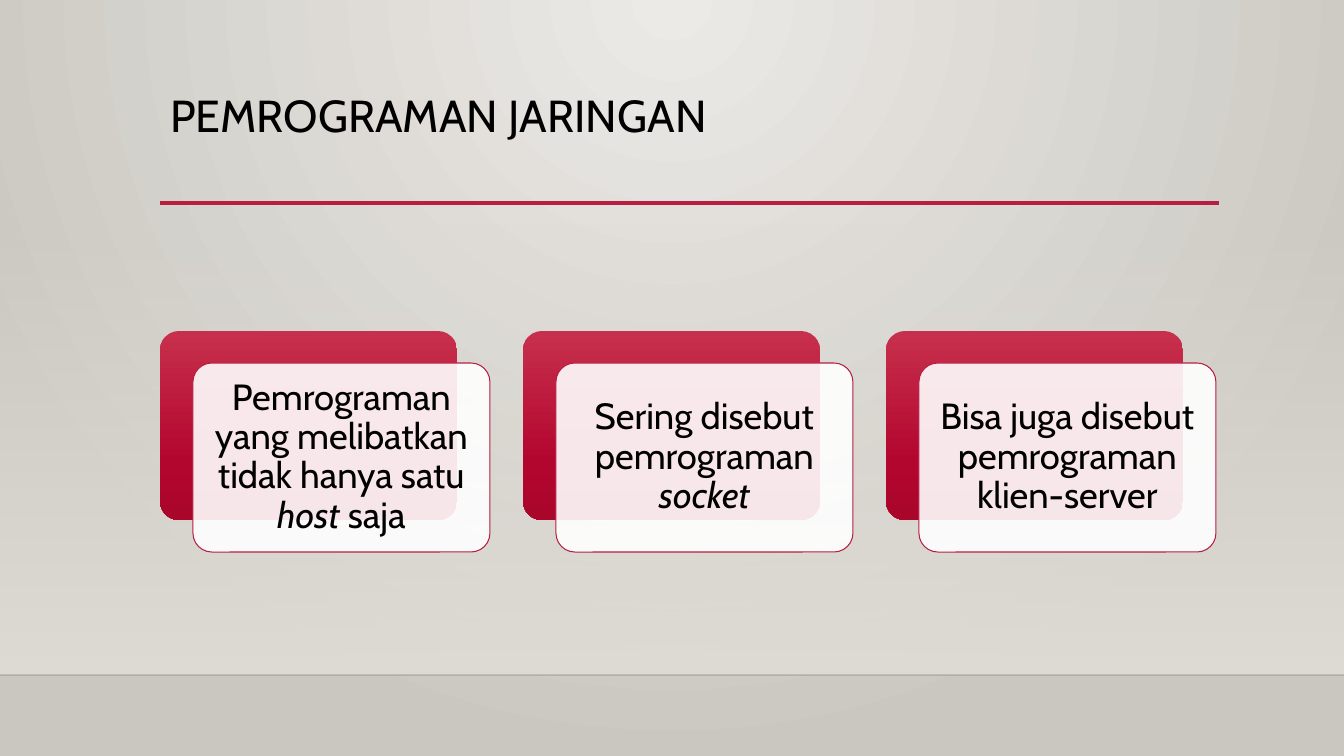
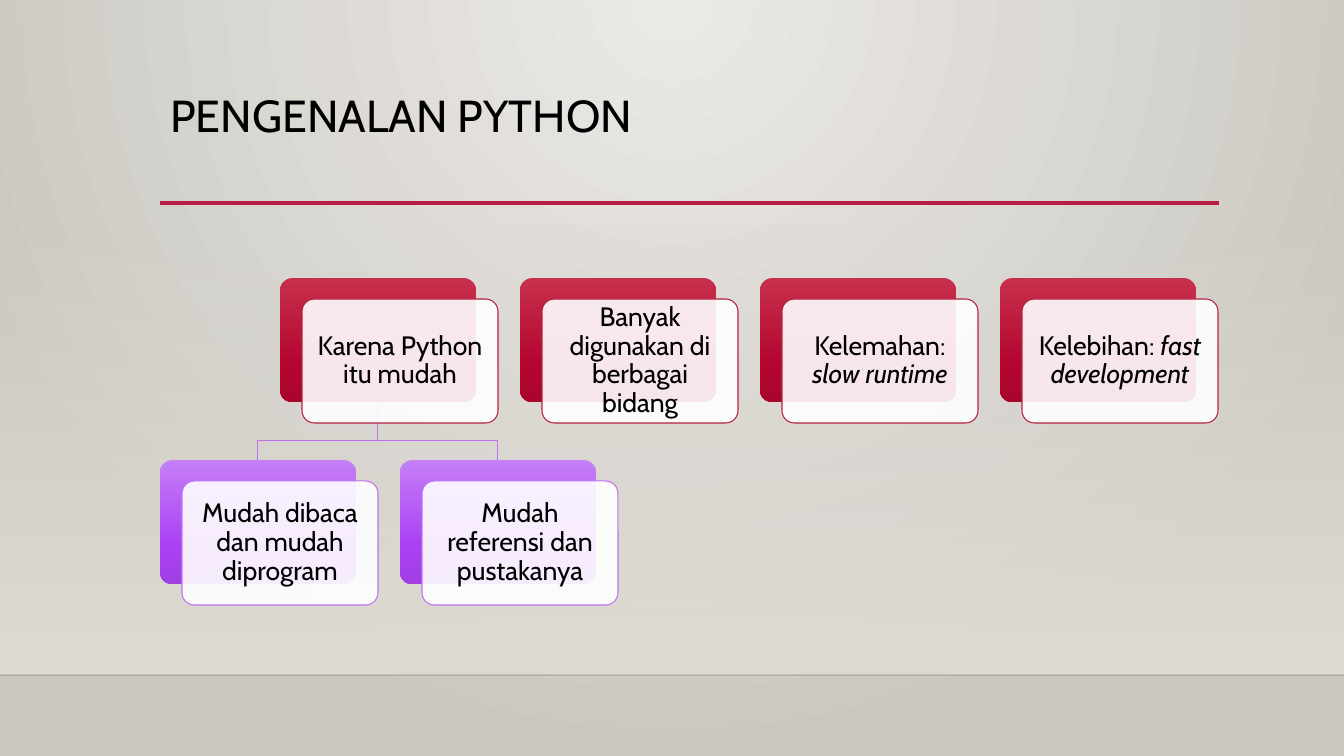
from dataclasses import dataclass

from lxml import etree
from pptx import Presentation
from pptx import util as u
from pptx.dml.color import RGBColor
from pptx.enum import shapes, text
from pptx.oxml.ns import qn

WIDE, HIGH = 1344, 756
SCALE = 12192000 / WIDE


@dataclass(frozen=True)
class Theme:
    font: str = "Cabin"
    ink: str = "000000"
    paper: str = "FFFFFF"
    red: str = "B71E42"
    violet: str = "BC72F0"
    edge: str = "000001"
    reds: tuple = ((0, "C7304C"), (69, "B3062F"), (100, "AA062C"))
    violets: tuple = ((0, "C57FF7"), (69, "AA41F3"), (100, "A13FE5"))
    back: tuple = ((0, "ECEAE7"), (100, "CAC7C1"))
    band: tuple = ((0, "DFDBD5", 0), (100, "DFDBD5", 100))
    title: int = 32
    large: int = 26
    small: int = 19


T = Theme()
LEFT, RIGHT = 160, 1219
FLOOR = 675


def px(num):
    return u.Emu(round(num * SCALE))


def tint(node, alpha):
    """Set the opacity, in percent, of a colour element."""
    etree.SubElement(node, qn("a:alpha"), val=str(alpha * 1000))


def blend(fill, node, stops, round_top=False):
    """Fill with a gradient: downward, or circular from the top centre."""
    fill.gradient()
    grad = next(node.iter(qn("a:gradFill")))
    grad.clear()
    rows = etree.SubElement(grad, qn("a:gsLst"))
    for pos, tone, *alpha in stops:
        stop = etree.SubElement(rows, qn("a:gs"), pos=str(pos * 1000))
        color = etree.SubElement(stop, qn("a:srgbClr"), val=tone)
        if alpha:
            tint(color, alpha[0])
    if round_top:
        way = etree.SubElement(grad, qn("a:path"), path="circle")
        etree.SubElement(way, qn("a:fillToRect"),
                         l="43000", t="0", r="43000", b="100000")
    else:
        etree.SubElement(grad, qn("a:lin"), ang="5400000", scaled="0")


def write(frame, words, size, align=text.PP_ALIGN.LEFT,
          anchor=text.MSO_ANCHOR.TOP, inset=None):
    """Write one paragraph; words between asterisks are italic."""
    frame.word_wrap = True
    frame.auto_size = text.MSO_AUTO_SIZE.NONE
    frame.vertical_anchor = anchor
    if inset is not None:
        frame.margin_left = frame.margin_right = px(inset)
        frame.margin_top = frame.margin_bottom = px(inset)
    para = frame.paragraphs[0]
    para.alignment = align
    para.line_spacing = 0.9
    for num, part in enumerate(words.split("*")):
        if part:
            run = para.add_run()
            run.text = part
            run.font.name = T.font
            run.font.size = u.Pt(size)
            run.font.italic = num % 2 == 1
            run.font.color.rgb = RGBColor.from_string(T.ink)


def stroke(shape, tone, width):
    shape.line.color.rgb = RGBColor.from_string(tone)
    shape.line.width = u.Pt(width)


def block(slide, kind, x, y, w, h):
    shape = slide.shapes.add_shape(kind, px(x), px(y), px(w), px(h))
    shape.shadow.inherit = False
    shape.line.fill.background()
    return shape


def rule(slide, x, y, end, tone, width):
    line = slide.shapes.add_connector(
        shapes.MSO_CONNECTOR.STRAIGHT, px(x), px(y), px(end), px(y))
    stroke(line, tone, width)
    etree.SubElement(line.element.spPr, qn("a:effectLst"))
    return line


def dress(layout, slide):
    """Give the layout its backdrop, lines and title place.

    Parts are drawn on the slide, then moved to the layout.
    """
    blend(layout.background.fill, layout.element, T.back, round_top=True)
    band = block(slide, shapes.MSO_SHAPE.RECTANGLE, 0, 223, WIDE, FLOOR - 223)
    blend(band.fill, band.element, T.band)
    base = rule(slide, 0, FLOOR, WIDE, T.edge, 1)
    tint(next(base.element.iter(qn("a:srgbClr"))), 20)
    bar = rule(slide, LEFT, 203, RIGHT, T.red, 2.5)
    for num, part in enumerate((band, base, bar)):
        next(part.element.iter(qn("p:cNvPr"))).set("id", str(100 + num))
        layout.shapes.element.insert(2 + num, part.element)
    head = layout.placeholders[0]
    head.left, head.top = px(LEFT), px(89)
    head.width, head.height = px(RIGHT - LEFT), px(116)


def sizes(count):
    """Return card width, height, shift right, shift down and pitch."""
    wide = int((RIGHT - LEFT) * 9 / (11 * count - 1))
    step = round(wide / 9)
    return wide, round(wide * 0.635), step, round(step * 0.96), wide + 2 * step


def card(slide, x, y, size, words, points, stops=T.reds, tone=T.red):
    wide, high, step, drop, _ = size
    form = shapes.MSO_SHAPE.ROUNDED_RECTANGLE
    back = block(slide, form, x, y, wide, high)
    blend(back.fill, back.element, stops)
    front = block(slide, form, x + step, y + drop, wide, high)
    front.fill.solid()
    front.fill.fore_color.rgb = RGBColor.from_string(T.paper)
    tint(next(front.element.spPr.iter(qn("a:srgbClr"))), 90)
    stroke(front, tone, 0.75)
    for shape in (back, front):
        shape.adjustments[0] = 0.1
    write(front.text_frame, words, points, text.PP_ALIGN.CENTER,
          text.MSO_ANCHOR.MIDDLE, inset=step // 3)


def cards(slide, x, y, size, items, points, **look):
    for num, words in enumerate(items):
        card(slide, x + num * size[-1], y, size, words, points, **look)


def link(slide, x, y, end, low):
    """Draw a bent line down from a parent to a child."""
    bend = low - 19
    pen = slide.shapes.build_freeform(x, y, SCALE)
    pen.add_line_segments([(x, bend), (end, bend), (end, low)], close=False)
    path = pen.convert_to_shape()
    path.shadow.inherit = False
    path.fill.background()
    stroke(path, T.violet, 0.75)


def network(slide):
    items = ("Pemrograman yang melibatkan tidak hanya satu *host* saja",
             "Sering disebut pemrograman *socket*",
             "Bisa juga disebut pemrograman klien-server")
    cards(slide, LEFT, 331, sizes(len(items)), items, T.large)


def python(slide):
    tops = ("Karena Python itu mudah",
            "Banyak digunakan di berbagai bidang",
            "Kelemahan: *slow runtime*",
            "Kelebihan: *fast development*")
    subs = ("Mudah dibaca dan mudah diprogram",
            "Mudah referensi dan pustakanya")
    size = sizes(len(tops) + 0.5)
    wide, high, pitch = size[0], size[1], size[-1]
    first, top, low = LEFT + pitch // 2, 278, 460
    for num in range(len(subs)):
        link(slide, first + wide // 2, top + high,
             LEFT + num * pitch + wide // 2, low)
    cards(slide, first, top, size, tops, T.small)
    cards(slide, LEFT, low, size, subs, T.small,
          stops=T.violets, tone=T.violet)


def main():
    deck = Presentation()
    deck.slide_width, deck.slide_height = px(WIDE), px(HIGH)
    layout = deck.slide_layouts[5]
    pages = (("PEMROGRAMAN JARINGAN", network), ("PENGENALAN PYTHON", python))
    for num, (title, fill) in enumerate(pages):
        slide = deck.slides.add_slide(layout)
        if num == 0:
            dress(layout, slide)
        write(slide.shapes.title.text_frame, title, T.title)
        fill(slide)
    deck.save("out.pptx")


if __name__ == "__main__":
    main()
